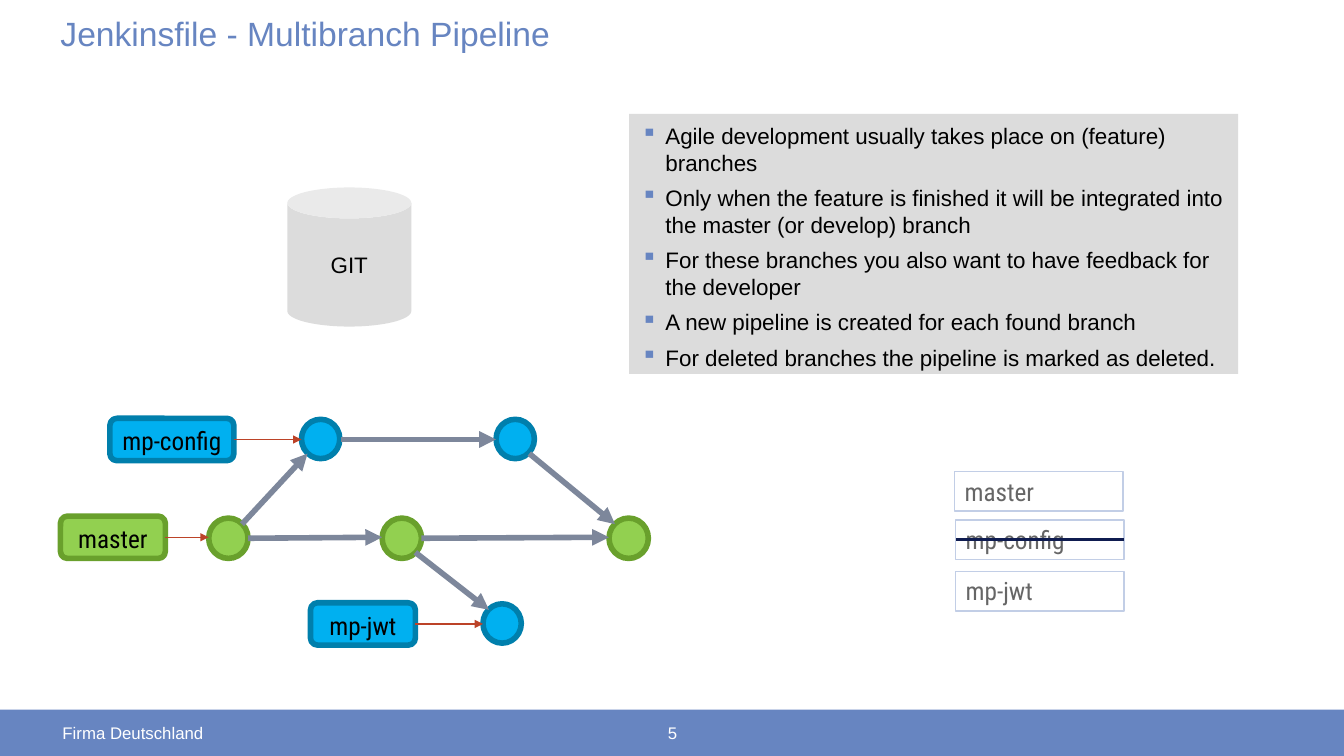
from dataclasses import dataclass

from lxml.etree import SubElement
from pptx import Presentation
from pptx.dml.color import RGBColor
from pptx.enum.shapes import MSO_CONNECTOR as Link, MSO_SHAPE as Preset
from pptx.enum.text import MSO_ANCHOR as Anchor, PP_ALIGN as Align
from pptx.oxml.ns import qn
from pptx.shapes.autoshape import Shape
from pptx.shapes.connector import Connector
from pptx.slide import Slide
from pptx.util import Pt

PX = 9144
BLUE = RGBColor(0x67, 0x85, 0xC1)
WHITE = RGBColor(0xFF, 0xFF, 0xFF)
BLACK = RGBColor(0x00, 0x00, 0x00)
GREY = RGBColor(0xDC, 0xDC, 0xDC)
TEXT_GREY = RGBColor(0x66, 0x66, 0x66)
GREEN = RGBColor(0x92, 0xD0, 0x50)
DARK_GREEN = RGBColor(0x69, 0xA0, 0x2C)
CYAN = RGBColor(0x00, 0xB0, 0xF0)
DARK_CYAN = RGBColor(0x00, 0x7F, 0xAC)
STEEL = RGBColor(0x7D, 0x87, 0x9B)
RED = RGBColor(0xBC, 0x43, 0x28)
PALE_BLUE = RGBColor(0xC2, 0xCE, 0xE6)
NAVY = RGBColor(0x0F, 0x1C, 0x50)
SANS = "Arial"
CONDENSED = "Roboto Condensed"


@dataclass(frozen=True)
class Area:
    left: int
    top: int
    width: int
    height: int

    def emu(self) -> tuple[int, int, int, int]:
        return self.left * PX, self.top * PX, self.width * PX, self.height * PX


@dataclass(frozen=True)
class Style:
    fill: RGBColor
    line: RGBColor | None = None
    weight: float = 0


@dataclass(frozen=True)
class Type:
    font: str
    size: int
    color: RGBColor
    align: Align = Align.LEFT
    anchor: Anchor = Anchor.TOP
    insets: tuple[int, int, int, int] = (10, 5, 10, 5)


@dataclass(frozen=True)
class Branch:
    name: str
    area: Area
    style: Style
    first_commit: int


@dataclass(frozen=True)
class Commit:
    area: Area
    style: Style


@dataclass(frozen=True)
class Arrow:
    start: tuple[int, int]
    end: tuple[int, int]


MASTER = Style(GREEN, DARK_GREEN, 4)
FEATURE = Style(CYAN, DARK_CYAN, 4)
JOB = Style(WHITE, PALE_BLUE, 1)
PLAIN = Style(GREY)

TITLE_TYPE = Type(SANS, 24, BLUE, insets=(0, 0, 0, 0))
FOOTER_TYPE = Type(SANS, 12, WHITE, anchor=Anchor.MIDDLE, insets=(2, 0, 0, 0))
NUMBER_TYPE = Type(SANS, 12, WHITE, Align.CENTER, Anchor.MIDDLE, (0, 0, 0, 0))
GIT_TYPE = Type(SANS, 16, BLACK, Align.CENTER, Anchor.MIDDLE, (12, 8, 12, 8))
NOTES_TYPE = Type(SANS, 16, BLACK, insets=(12, 8, 12, 8))
BRANCH_TYPE = Type(CONDENSED, 18, BLACK, Align.CENTER)
JOB_TYPE = Type(CONDENSED, 18, TEXT_GREY, anchor=Anchor.BOTTOM)

POINTS = [
    "Agile development usually takes place on (feature) branches",
    "Only when the feature is finished it will be integrated into the master (or develop) branch",
    "For these branches you also want to have feedback for the developer",
    "A new pipeline is created for each found branch",
    "For deleted branches the pipeline is marked as deleted.",
]
BRANCHES = [
    Branch("master", Area(60, 512, 104, 42), MASTER, 207),
    Branch("mp-config", Area(109, 415, 123, 42), FEATURE, 299),
    Branch("mp-jwt", Area(308, 598, 104, 42), FEATURE, 479),
]
COMMITS = [Commit(Area(left, 514, 39, 40), MASTER) for left in (207, 379, 604)] + [
    Commit(Area(left, top, 38, 39), FEATURE)
    for left, top in ((299, 416), (492, 416), (479, 599))
]
ARROWS = [
    Arrow((246, 534), (379, 533)),
    Arrow((418, 534), (604, 533)),
    Arrow((338, 436), (492, 436)),
    Arrow((240, 520), (305, 450)),
    Arrow((525, 450), (610, 520)),
    Arrow((412, 548), (485, 605)),
]
JOBS = {
    "master": Area(947, 468, 167, 39),
    "mp-config": Area(948, 516, 167, 39),
    "mp-jwt": Area(948, 567, 167, 39),
}


def write(box: Shape, text: str, kind: Type) -> None:
    frame = box.text_frame
    frame.text = text
    frame.word_wrap = True
    frame.vertical_anchor = kind.anchor
    left, top, right, bottom = (inset * PX for inset in kind.insets)
    frame.margin_left, frame.margin_top = left, top
    frame.margin_right, frame.margin_bottom = right, bottom
    for para in frame.paragraphs:
        para.alignment = kind.align
        for span in para.runs:
            span.font.name = kind.font
            span.font.size = Pt(kind.size)
            span.font.color.rgb = kind.color


def add_text(page: Slide, area: Area, text: str, kind: Type) -> Shape:
    box = page.shapes.add_textbox(*area.emu())
    write(box, text, kind)
    return box


def add_box(page: Slide, preset: Preset, area: Area, style: Style) -> Shape:
    box = page.shapes.add_shape(preset, *area.emu())
    box.shadow.inherit = False
    box.fill.solid()
    box.fill.fore_color.rgb = style.fill
    if style.line is None:
        box.line.fill.background()
    else:
        box.line.color.rgb = style.line
        box.line.width = Pt(style.weight)
    return box


def add_line(page: Slide, arrow: Arrow, color: RGBColor, weight: float, head: bool = True) -> Connector:
    ends = (value * PX for value in arrow.start + arrow.end)
    line = page.shapes.add_connector(Link.STRAIGHT, *ends)
    line.line.color.rgb = color
    line.line.width = Pt(weight)
    if head:
        SubElement(line.line._get_or_add_ln(), qn("a:tailEnd"), type="triangle")
    SubElement(line._element.spPr, qn("a:effectLst"))
    return line


def add_bullets(box: Shape) -> None:
    for index, para in enumerate(box.text_frame.paragraphs):
        props = para._p.get_or_add_pPr()
        props.set("marL", str(24 * PX))
        props.set("indent", str(-24 * PX))
        color = SubElement(props, qn("a:buClr"))
        SubElement(color, qn("a:srgbClr"), val=str(BLUE))
        SubElement(props, qn("a:buChar"), char="▪")
        para.space_before = Pt(6 if index else 0)


def add_history(page: Slide) -> None:
    for commit in COMMITS:
        add_box(page, Preset.OVAL, commit.area, commit.style)
    for branch in BRANCHES:
        area = branch.area
        label = add_box(page, Preset.ROUNDED_RECTANGLE, area, branch.style)
        write(label, branch.name, BRANCH_TYPE)
        middle = area.top + area.height // 2
        pointer = Arrow((area.left + area.width, middle), (branch.first_commit, middle))
        add_line(page, pointer, RED, 1).begin_connect(label, 3)
    for arrow in ARROWS:
        add_line(page, arrow, STEEL, 4)


def add_jobs(page: Slide) -> None:
    boxes = {}
    for name, area in JOBS.items():
        boxes[name] = add_box(page, Preset.RECTANGLE, area, JOB)
        write(boxes[name], name, JOB_TYPE)
    strike = add_line(page, Arrow((1115, 536), (948, 536)), NAVY, 2.25, head=False)
    strike.begin_connect(boxes["mp-config"], 3)
    strike.end_connect(boxes["mp-config"], 1)


def main() -> None:
    deck = Presentation()
    deck.slide_width, deck.slide_height = 1333 * PX, 750 * PX
    page = deck.slides.add_slide(deck.slide_layouts[6])
    add_box(page, Preset.RECTANGLE, Area(0, 704, 1333, 46), Style(BLUE))
    title = add_text(page, Area(60, 21, 1213, 55), "Jenkinsfile - Multibranch Pipeline", TITLE_TYPE)
    title.text_frame.paragraphs[0].line_spacing = 0.8
    add_text(page, Area(60, 719, 450, 16), "Firma Deutschland", FOOTER_TYPE)
    add_text(page, Area(640, 719, 54, 16), "5", NUMBER_TYPE)
    write(add_box(page, Preset.CAN, Area(285, 186, 123, 138), PLAIN), "GIT", GIT_TYPE)
    notes = add_box(page, Preset.RECTANGLE, Area(624, 113, 604, 258), PLAIN)
    write(notes, "\n".join(POINTS), NOTES_TYPE)
    add_bullets(notes)
    add_history(page)
    add_jobs(page)
    deck.save("out.pptx")


if __name__ == "__main__":
    main()
